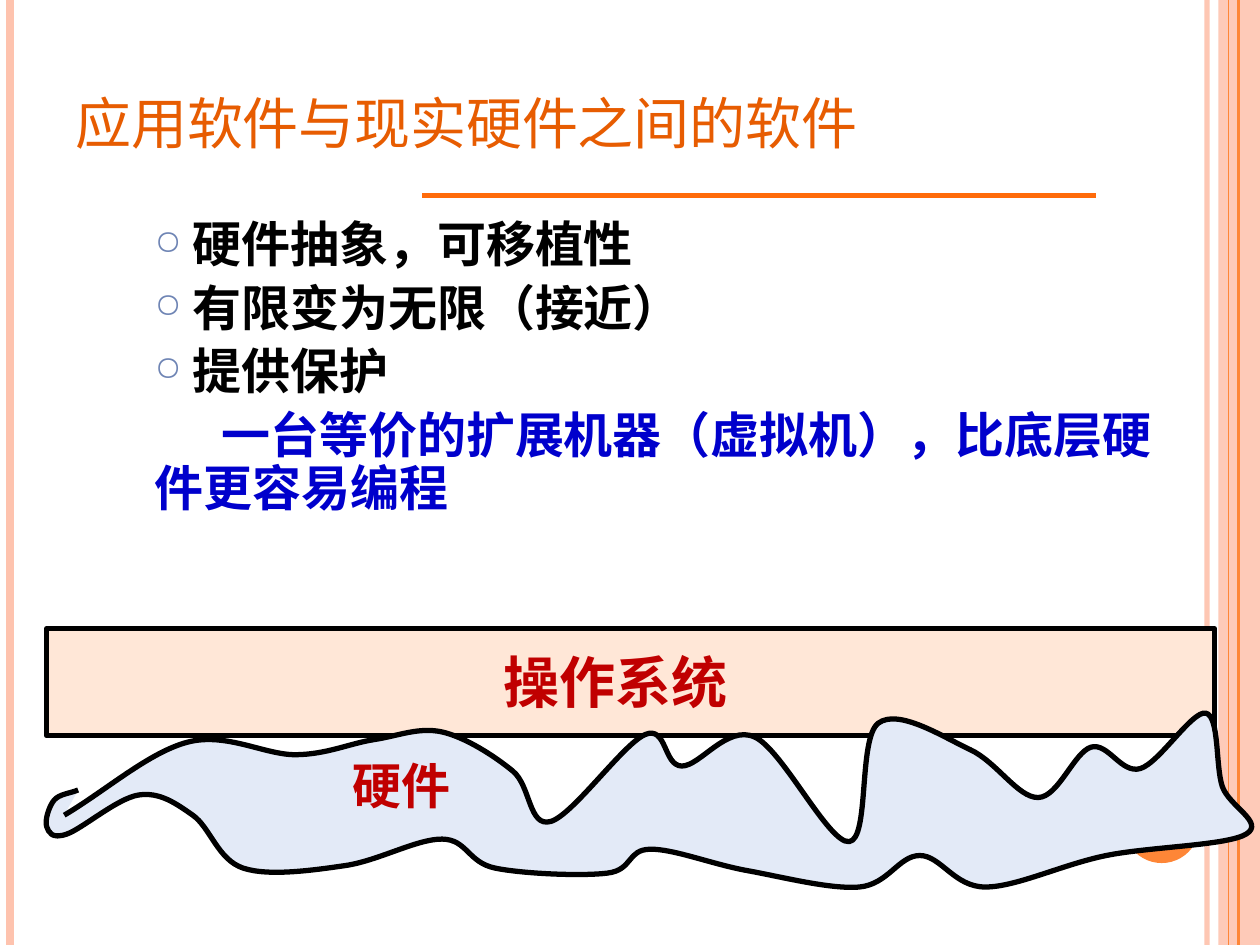
from dataclasses import dataclass

from lxml import etree
from pptx import Presentation
from pptx.dml.color import RGBColor
from pptx.enum.shapes import MSO_CONNECTOR, MSO_SHAPE
from pptx.enum.text import MSO_ANCHOR
from pptx.oxml.ns import qn
from pptx.util import Inches, Pt

STRAIGHT = MSO_CONNECTOR.STRAIGHT
RECT, OVAL = MSO_SHAPE.RECTANGLE, MSO_SHAPE.OVAL
TOP, BOTTOM = MSO_ANCHOR.TOP, MSO_ANCHOR.BOTTOM


@dataclass(frozen=True)
class Theme:
    font: str = "Noto Sans CJK SC"
    pale: str = "FEC3AE"
    orange: str = "FE8637"
    rule: str = "FF6B0A"
    head: str = "E75C01"
    black: str = "000000"
    blue: str = "0000CC"
    red: str = "C00000"
    bullet: str = "6E84B4"
    peach: str = "FFE7D7"
    sky: str = "E3EAF7"
    title: int = 40
    label: int = 32
    body: int = 28
    edge: int = 3


THEME = Theme()

RAILS = [
    (9.58, THEME.pale, 3, 93),
    (0.08, THEME.pale, 4.5, 100),
    (9.83, THEME.orange, 1.5, 100),
    (9.75, THEME.orange, 0.75, 100),
]

POINTS = ["硬件抽象，可移植性", "有限变为无限（接近）", "提供保护"]
CLAIM = "一台等价的扩展机器（虚拟机），比底层硬件更容易编程"

COAST = [
    (0.51, 6.47), (1.49, 5.89), (2.35, 5.99), (2.97, 5.87), (3.51, 5.81),
    (4.07, 6.12), (4.37, 6.52), (5.12, 5.83), (5.41, 6.08), (5.99, 5.85),
    (6.74, 6.68), (6.97, 5.74), (7.7, 5.95), (8.24, 6.33), (8.66, 5.93),
    (9.05, 6.1), (9.57, 5.66), (9.7, 6.24), (9.89, 6.62), (8.78, 6.79),
    (7.82, 7.04), (7.3, 6.79), (6.82, 7.04), (5.93, 6.91), (5.16, 6.74),
    (4.82, 6.93), (3.93, 6.89), (3.51, 6.66), (2.74, 6.87), (1.93, 6.89),
    (1.53, 6.47), (1.1, 6.31), (0.53, 6.62), (0.37, 6.56), (0.43, 6.35),
    (0.62, 6.27),
]


def add_node(parent, tag, **attrs):
    node = etree.SubElement(parent, qn(tag))
    for name, value in attrs.items():
        node.set(name, str(value))
    return node


def fade(shape, alpha):
    if alpha < 100:
        color = shape._element.spPr.find(".//" + qn("a:srgbClr"))
        add_node(color, "a:alpha", val=alpha * 1000)


def add_line(slide, start, end, color, width, alpha=100):
    line = slide.shapes.add_connector(
        STRAIGHT, *(Inches(v) for v in (*start, *end)))
    line.line.color.rgb = RGBColor.from_string(color)
    line.line.width = Pt(width)
    fade(line, alpha)
    add_node(line._element.spPr, "a:effectLst")


def paint(shape, fill, edge=None):
    shape.shadow.inherit = False
    shape.fill.solid()
    shape.fill.fore_color.rgb = RGBColor.from_string(fill)
    if edge:
        shape.line.color.rgb = RGBColor.from_string(edge)
        shape.line.width = Pt(THEME.edge)
    else:
        shape.line.fill.background()


def add_block(slide, kind, box, fill, edge=None, alpha=100):
    shape = slide.shapes.add_shape(kind, *map(Inches, box))
    paint(shape, fill, edge)
    fade(shape, alpha)


def add_frame(slide, box, anchor=TOP, wrap=True):
    frame = slide.shapes.add_textbox(*map(Inches, box)).text_frame
    frame.word_wrap = wrap
    frame.vertical_anchor = anchor
    return frame


def write(para, text, size, color, bold=True):
    run = para.add_run()
    run.text = text
    style = {"name": THEME.font, "size": Pt(size), "bold": bold}
    for name, value in style.items():
        setattr(run.font, name, value)
    run.font.color.rgb = RGBColor.from_string(color)
    add_node(run._r.get_or_add_rPr(), "a:ea", typeface=THEME.font)
    return run


def add_label(slide, box, text, size, wrap=True):
    frame = add_frame(slide, box, wrap=wrap)
    write(frame.paragraphs[0], text, size, THEME.red)


def add_title(slide, box, text):
    frame = add_frame(slide, box, BOTTOM)
    run = write(frame.paragraphs[0], text, THEME.title, THEME.head, False)
    run._r.get_or_add_rPr().set("cap", "small")


def add_body(slide, box):
    frame = add_frame(slide, box)
    for i, text in enumerate([*POINTS, CLAIM]):
        para = frame.paragraphs[0] if i == 0 else frame.add_paragraph()
        for name, value in {"line_spacing": 0.9, "space_before": Pt(6)}.items():
            setattr(para, name, value)
        props = para._p.get_or_add_pPr()
        if text == CLAIM:
            props.set("indent", str(Inches(0.53)))
            write(para, text, THEME.body, THEME.blue)
            continue
        props.set("marL", str(Inches(0.3)))
        props.set("indent", str(Inches(-0.3)))
        tint = add_node(props, "a:buClr")
        add_node(tint, "a:srgbClr", val=THEME.bullet)
        add_node(props, "a:buSzPct", val=70000)
        add_node(props, "a:buChar", char="○")
        write(para, text, THEME.body, THEME.black)


def bend(shape):
    marks = shape._element.xpath(".//a:path//a:pt")
    spots = [(int(m.get("x")), int(m.get("y"))) for m in marks]

    def mirror(a, b):
        return 2 * a[0] - b[0], 2 * a[1] - b[1]

    chain = [mirror(spots[0], spots[1]), *spots, mirror(spots[-1], spots[-2])]
    steps = shape._element.xpath(".//a:path/a:lnTo")
    for step, a, b, c, d in zip(steps, chain, chain[1:], chain[2:], chain[3:]):
        lead = [p + (r - q) / 6 for p, q, r in zip(b, a, c)]
        tail = [p - (r - q) / 6 for p, q, r in zip(c, b, d)]
        curve = etree.Element(qn("a:cubicBezTo"))
        for x, y in (lead, tail, c):
            add_node(curve, "a:pt", x=round(x), y=round(y))
        step.getparent().replace(step, curve)


def add_coast(slide):
    spots = [(Inches(x), Inches(y)) for x, y in COAST]
    pen = slide.shapes.build_freeform(*spots[0])
    pen.add_line_segments(spots[1:], close=False)
    shape = pen.convert_to_shape()
    paint(shape, THEME.sky, THEME.black)
    bend(shape)


def main():
    deck = Presentation()
    deck.slide_width, deck.slide_height = Inches(10), Inches(7.5)
    slide = deck.slides.add_slide(deck.slide_layouts[6])
    add_block(slide, RECT, (9.67, 0, 0.33, 7.5), THEME.pale, alpha=87)
    for x, color, width, alpha in RAILS:
        add_line(slide, (x, 0), (x, 7.5), color, width, alpha)
    add_block(slide, OVAL, (8.92, 6.25, 0.6, 0.6), THEME.orange)
    add_line(slide, (3.35, 1.55), (8.7, 1.55), THEME.rule, THEME.edge)
    add_title(slide, (0.5, 0.3, 8.17, 1.01), "应用软件与现实硬件之间的软件")
    add_body(slide, (1.13, 1.7, 8.2, 5.25))
    add_block(slide, RECT, (0.37, 4.99, 9.27, 0.85), THEME.peach, THEME.black)
    add_coast(slide)
    add_label(slide, (3.9, 5.09, 2.44, 0.63), "操作系统", THEME.label)
    add_label(slide, (2.7, 5.95, 0.99, 0.57), "硬件", THEME.body, wrap=False)
    deck.save("out.pptx")


if __name__ == "__main__":
    main()
